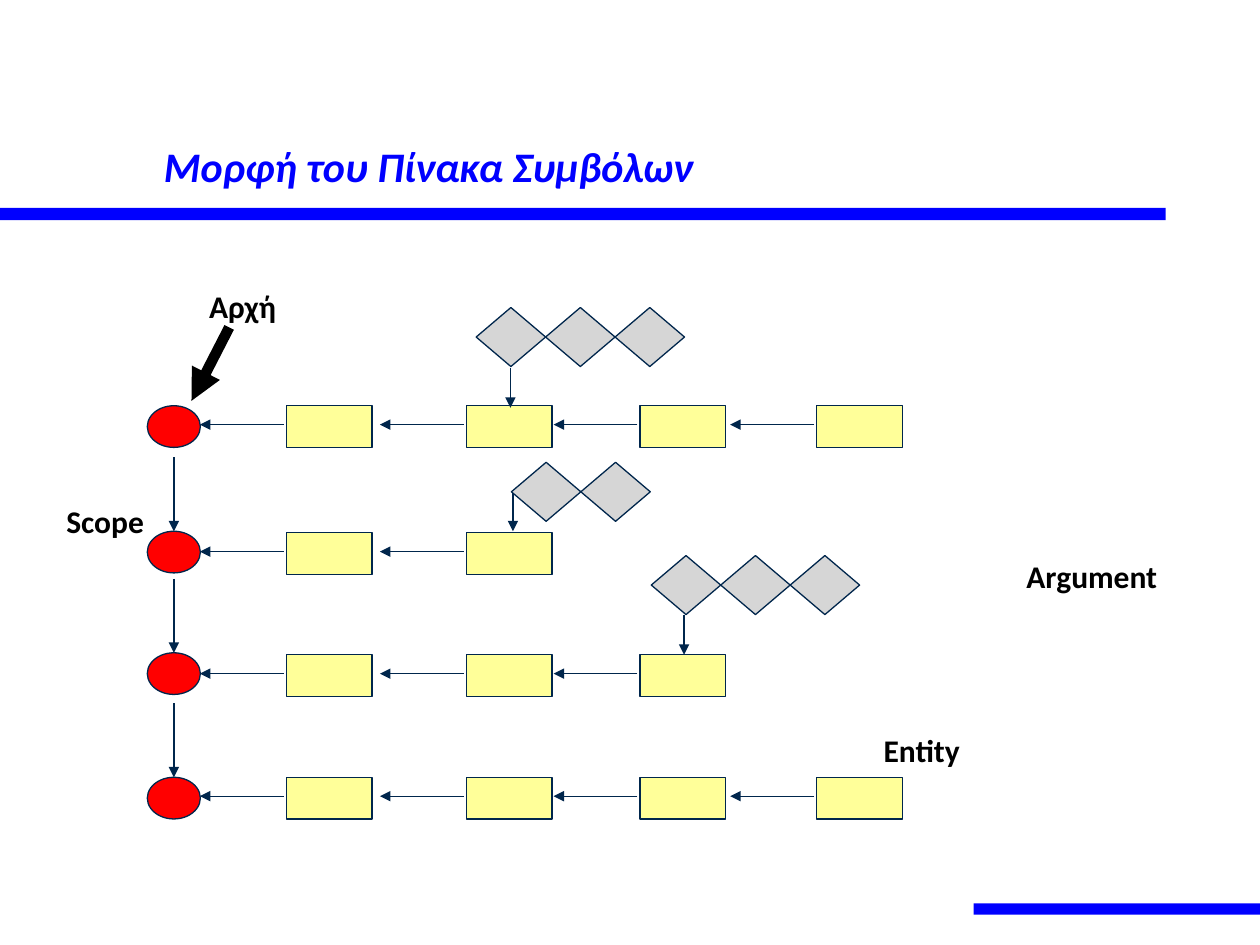
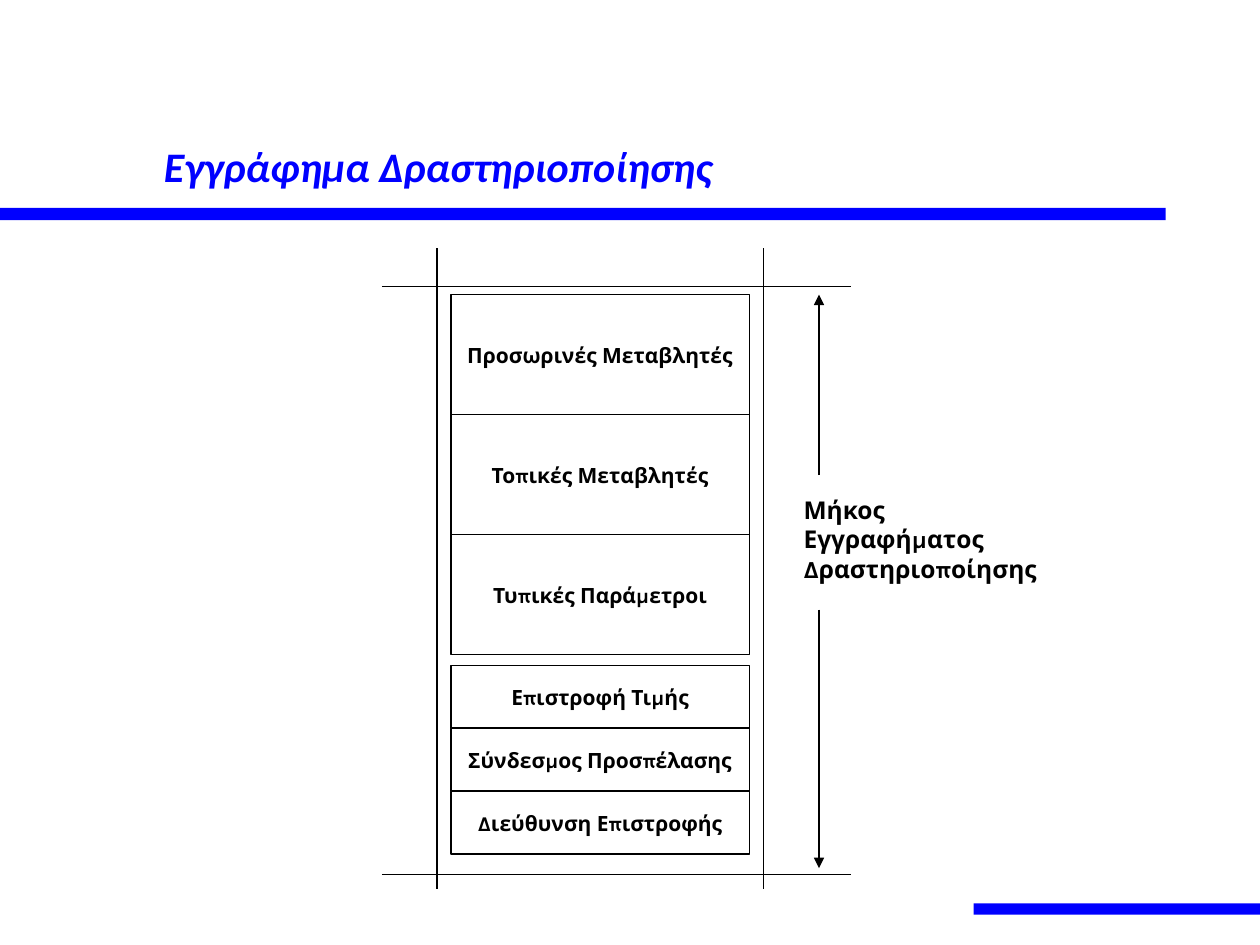
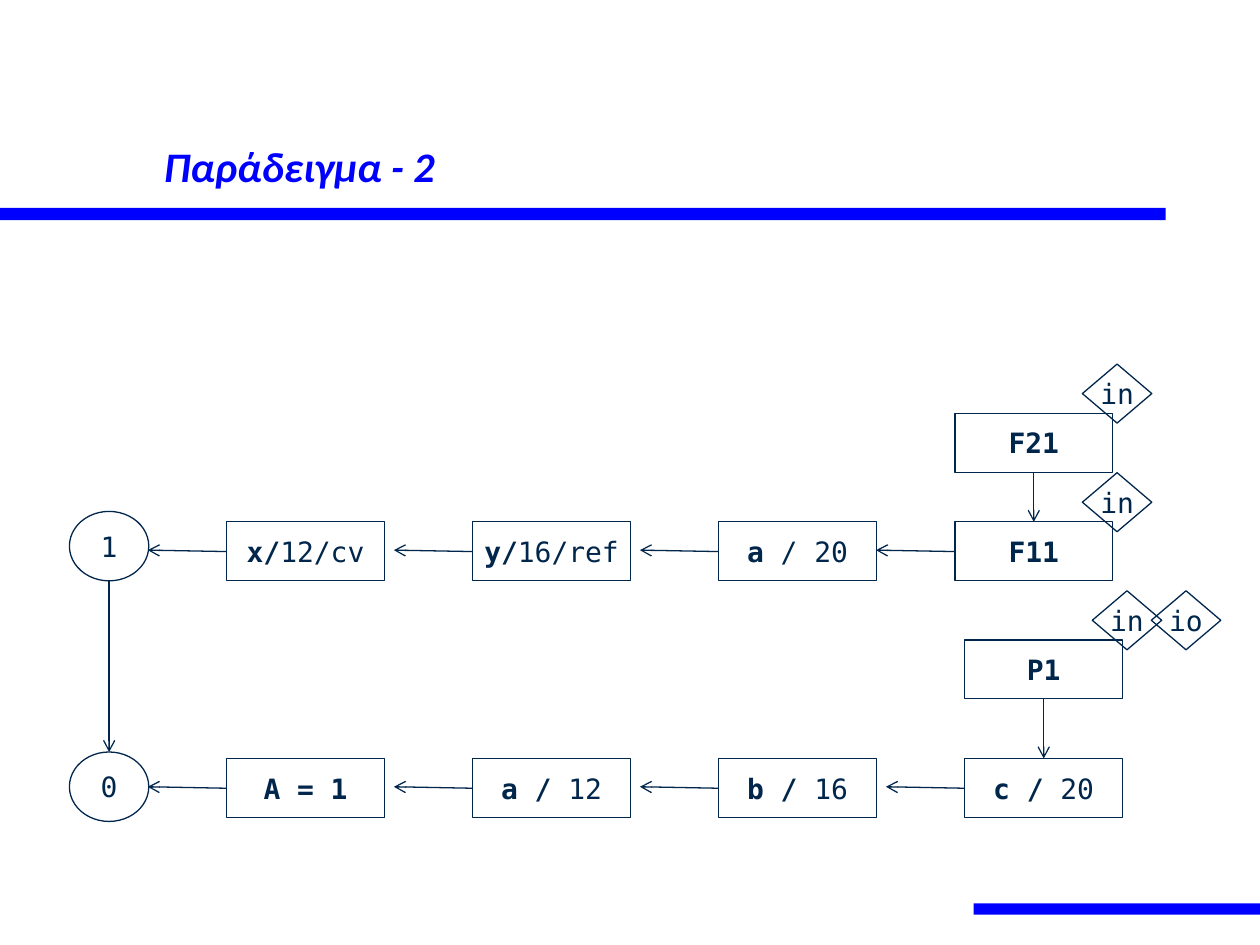
from lxml.etree import SubElement
from pptx import Presentation
from pptx.dml.color import RGBColor
from pptx.enum.shapes import MSO_CONNECTOR, MSO_SHAPE
from pptx.enum.text import MSO_ANCHOR, MSO_AUTO_SIZE, PP_ALIGN
from pptx.oxml.ns import qn
from pptx.util import Cm, Pt

COLORS = {
    "blue": "0000FF",
    "navy": "00264C",
    "black": "000000",
    "scope": "FF0000",
    "entity": "FFFF99",
    "argument": "D6D6D6",
}
HEADING_FONT, RECORD_FONT, CODE_FONT = "Calibri", "Karla", "DejaVu Sans Mono"

# All positions and sizes are centimetres.
BANDS = [(0, 4.19, 23.5, 0.25), (19.63, 18.21, 5.77, 0.23)]
TITLE_BOX = (3.05, 0.79, 21.59, 3.18)
DIAMOND_SIZE = (1.4, 1.19)

# Symbol table: (scope top, entity top, number of entities)
TABLE_ROWS = [(8.18, 8.18, 4), (10.71, 10.74, 2), (13.16, 13.2, 3), (15.67, 15.67, 4)]
SCOPE_LEFT, SCOPE_SIZE = 2.97, (1.07, 0.84)
ENTITY_LEFTS, ENTITY_SIZE = [5.77, 9.4, 12.9, 16.46], (1.73, 0.84)
# (left, top, number of arguments, pointer x, pointer top)
ARGUMENT_LISTS = [
    (9.6, 6.2, 3, 10.29, 7.42),
    (10.31, 9.32, 2, 10.34, 9.91),
    (13.13, 11.2, 3, 13.79, 12.4),
]
TABLE_LABELS = [
    ("Αρχή", 3.43, 5.69),
    ("Scope", 0.66, 10.01),
    ("Entity", 17.12, 14.63),
    ("Argument", 20.55, 11.13),
]

# Activation record: (top, field height, fields)
RECORD_PARTS = [
    (5.94, 2.42, ["Προσωρινές Μεταβλητές", "Τοπικές Μεταβλητές", "Τυπικές Παράμετροι"]),
    (13.41, 1.27, ["Επιστροφή Τιμής", "Σύνδεσμος Προσπέλασης", "Διεύθυνση Επιστροφής"]),
]
RECORD_LENGTH = ["Μήκος", "Εγγραφήματος", "Δραστηριοποίησης"]

# Example: entities are lists of (text, bold) runs
LEVELS = [
    {
        "scope": "1", "scope_top": 10.31, "top": 10.52, "last_left": 19.25,
        "entities": [
            [("x/", True), ("12/cv", False)],
            [("y/", True), ("16/ref", False)],
            [("a", True), (" / 20", False)],
            [("F11", True)],
        ],
        "last_arguments": ["in"],
        "upper": "F21", "upper_top": 8.33, "upper_arguments": ["in"],
    },
    {
        "scope": "0", "scope_top": 15.16, "top": 15.29, "last_left": 19.45,
        "entities": [
            [("Α = 1", True)],
            [("a / ", True), ("12", False)],
            [("b / ", True), ("16", False)],
            [("c / ", True), ("20", False)],
        ],
        "last_arguments": [],
        "upper": "P1", "upper_top": 12.9, "upper_arguments": ["in", "io"],
    },
]
NODE_LEFT, NODE_SIZE = 1.4, (1.6, 1.4)
CELL_LEFT, CELL_STEP, CELL_SIZE = 4.57, 4.96, (3.18, 1.19)


def rgb(name):
    return RGBColor.from_string(COLORS[name])


def add_figure(slide, kind, left, top, size, fill=None, line="navy"):
    shape = slide.shapes.add_shape(kind, Cm(left), Cm(top), Cm(size[0]), Cm(size[1]))
    shape.shadow.inherit = False
    if fill:
        shape.fill.solid()
        shape.fill.fore_color.rgb = rgb(fill)
    else:
        shape.fill.background()
    if line:
        shape.line.color.rgb = rgb(line)
        shape.line.width = Pt(0.75)
    else:
        shape.line.fill.background()
    return shape


def add_line(slide, start, end, color="navy", width=0.75, arrow=None):
    points = [Cm(value) for value in (*start, *end)]
    connector = slide.shapes.add_connector(MSO_CONNECTOR.STRAIGHT, *points)
    connector.line.color.rgb = rgb(color)
    connector.line.width = Pt(width)
    properties = connector.element.spPr
    if arrow:
        SubElement(properties.find(qn("a:ln")), qn("a:tailEnd"), type=arrow)
    SubElement(properties, qn("a:effectLst"))


def write(shape, paragraphs, font, size, color, align=PP_ALIGN.CENTER,
          anchor=MSO_ANCHOR.MIDDLE, wrap=False, italic=None, inset=None):
    """Fill a shape with paragraphs, each a list of (text, bold) runs."""
    frame = shape.text_frame
    frame.auto_size = MSO_AUTO_SIZE.NONE
    frame.word_wrap = wrap
    frame.vertical_anchor = anchor
    if inset is not None:
        frame.margin_left = frame.margin_right = Cm(inset)
        frame.margin_top = frame.margin_bottom = Cm(inset)
    for index, runs in enumerate(paragraphs):
        paragraph = frame.add_paragraph() if index else frame.paragraphs[0]
        paragraph.alignment = align
        for text, bold in runs:
            run = paragraph.add_run()
            run.text = text
            run.font.name, run.font.size = font, Pt(size)
            run.font.bold, run.font.italic = bold, italic
            run.font.color.rgb = rgb(color)


def add_label(slide, left, top, size):
    return slide.shapes.add_textbox(Cm(left), Cm(top), Cm(size[0]), Cm(size[1]))


def add_titled_slide(presentation, text):
    slide = presentation.slides.add_slide(presentation.slide_layouts[5])
    title = slide.shapes.title
    title.left, title.top, title.width, title.height = map(Cm, TITLE_BOX)
    write(title, [[(text, True)]], HEADING_FONT, 24, "blue", PP_ALIGN.LEFT,
          MSO_ANCHOR.BOTTOM, wrap=True, italic=True)
    return slide


def put_bands_on_layout(slide):
    """Draw the bands, then move them to the layout that all slides share."""
    for left, top, width, height in BANDS:
        band = add_figure(slide, MSO_SHAPE.RECTANGLE, left, top, (width, height), "blue", None)
        slide.slide_layout.shapes.element.append(band.element)


def draw_symbol_table(slide):
    scope_center = SCOPE_LEFT + SCOPE_SIZE[0] / 2
    for row, (scope_top, entity_top, count) in enumerate(TABLE_ROWS):
        add_figure(slide, MSO_SHAPE.OVAL, SCOPE_LEFT, scope_top, SCOPE_SIZE, "scope")
        if row:
            add_line(slide, (scope_center, scope_top - 1.49), (scope_center, scope_top),
                     arrow="triangle")
        for left in ENTITY_LEFTS[:count]:
            add_figure(slide, MSO_SHAPE.RECTANGLE, left, entity_top, ENTITY_SIZE, "entity")
            arrow_y = entity_top + 0.38
            add_line(slide, (left - 0.05, arrow_y), (left - 1.74, arrow_y), arrow="triangle")
    for left, top, count, pointer_x, pointer_top in ARGUMENT_LISTS:
        add_line(slide, (pointer_x, pointer_top), (pointer_x, pointer_top + 0.8),
                 arrow="triangle")
        for index in range(count):
            add_figure(slide, MSO_SHAPE.DIAMOND, left + index * DIAMOND_SIZE[0], top,
                       DIAMOND_SIZE, "argument")
    for text, left, top in TABLE_LABELS:
        label = add_label(slide, left, top, (2.92, 0.97))
        write(label, [[(text, True)]], HEADING_FONT, 18, "black")
    add_line(slide, (4.62, 6.6), (3.86, 8.08), "black", 6, "triangle")


def draw_activation_record(slide):
    for x in (8.81, 15.39):
        add_line(slide, (x, 5), (x, 17.93), "black")
    for y in (5.77, 17.63):
        add_line(slide, (7.7, y), (17.15, y), "black")
    for start, end in ((9.58, 5.94), (12.29, 17.5)):
        add_line(slide, (16.51, start), (16.51, end), "black", arrow="triangle")
    for top, height, fields in RECORD_PARTS:
        for index, text in enumerate(fields):
            field = add_figure(slide, MSO_SHAPE.RECTANGLE, 9.09, top + index * height,
                               (6.02, height), line="black")
            write(field, [[(text, True)]], RECORD_FONT, 12, "black")
    label = add_label(slide, 15.95, 9.37, (6.27, 3))
    write(label, [[(text, True)] for text in RECORD_LENGTH], RECORD_FONT, 14, "black",
          PP_ALIGN.LEFT, wrap=True)


def add_code(slide, kind, left, top, size, runs):
    shape = add_figure(slide, kind, left, top, size)
    write(shape, [runs], CODE_FONT, 16, "navy", inset=0)


def add_arguments(slide, cell_left, cell_top, arguments):
    """Hang a row of diamonds on the top right corner of a cell."""
    for index, text in enumerate(arguments):
        add_code(slide, MSO_SHAPE.DIAMOND, cell_left + 2.57 + index * 1.19,
                 cell_top - 0.99, DIAMOND_SIZE, [(text, False)])


def draw_level(slide, level):
    top, last_left, upper_top = level["top"], level["last_left"], level["upper_top"]
    add_code(slide, MSO_SHAPE.OVAL, NODE_LEFT, level["scope_top"], NODE_SIZE,
             [(level["scope"], False)])
    lefts = [CELL_LEFT + index * CELL_STEP for index in range(3)] + [last_left]
    for left, runs in zip(lefts, level["entities"]):
        add_code(slide, MSO_SHAPE.RECTANGLE, left, top, CELL_SIZE, runs)
        add_line(slide, (left, top + 0.6), (left - 1.59, top + 0.57), arrow="arrow")
    add_arguments(slide, last_left, top, level["last_arguments"])

    add_code(slide, MSO_SHAPE.RECTANGLE, last_left, upper_top, CELL_SIZE,
             [(level["upper"], True)])
    add_arguments(slide, last_left, upper_top, level["upper_arguments"])
    center = last_left + CELL_SIZE[0] / 2
    add_line(slide, (center, upper_top + CELL_SIZE[1]), (center, top), arrow="arrow")


def draw_example(slide):
    for level in LEVELS:
        draw_level(slide, level)
    center = NODE_LEFT + NODE_SIZE[0] / 2
    inner, outer = (level["scope_top"] for level in LEVELS)
    add_line(slide, (center, inner + NODE_SIZE[1]), (center, outer), arrow="arrow")


SLIDES = [
    ("Μορφή του Πίνακα Συμβόλων", draw_symbol_table),
    ("Εγγράφημα Δραστηριοποίησης", draw_activation_record),
    ("Παράδειγμα - 2", draw_example),
]


def main():
    presentation = Presentation()
    presentation.slide_width, presentation.slide_height = Cm(25.4), Cm(19.05)
    for index, (title, draw) in enumerate(SLIDES):
        slide = add_titled_slide(presentation, title)
        if index == 0:
            put_bands_on_layout(slide)
        draw(slide)
    presentation.save("out.pptx")


if __name__ == "__main__":
    main()
